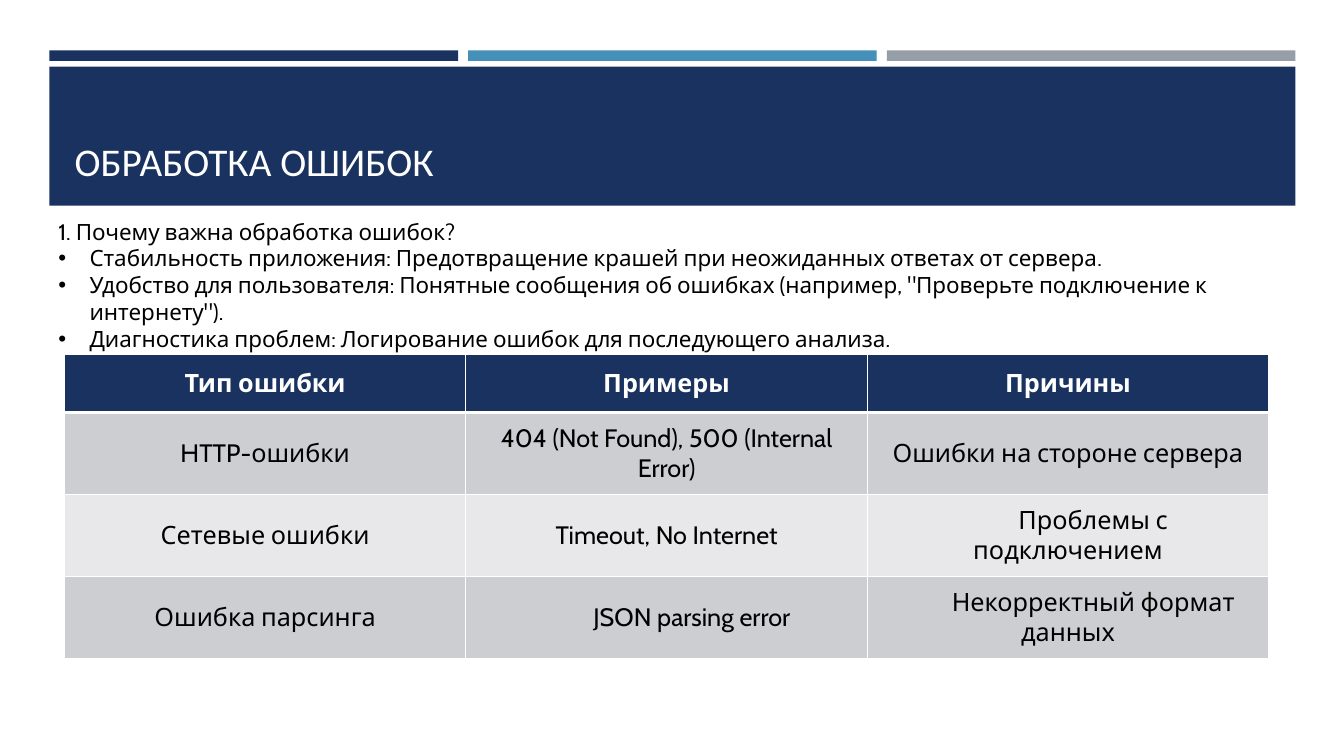
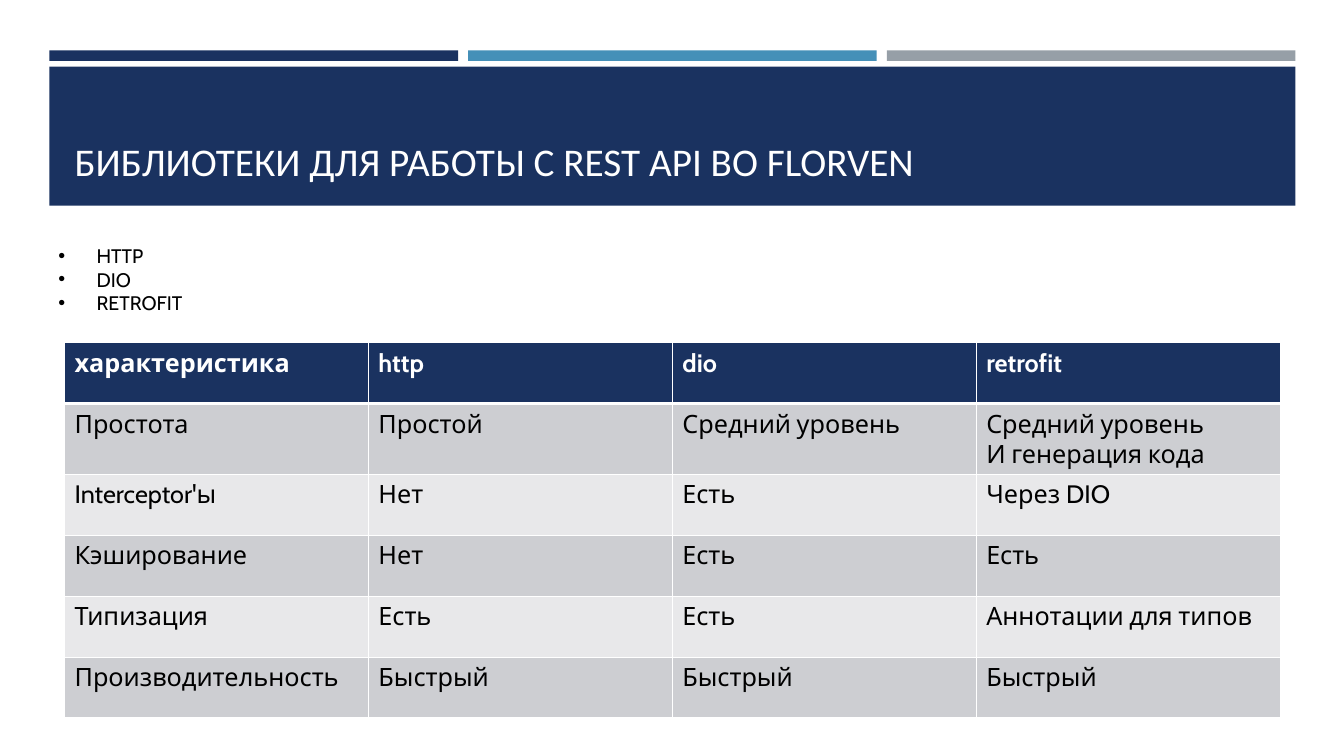
from dataclasses import dataclass

from lxml.etree import SubElement
from pptx import Presentation
from pptx.dml.color import RGBColor
from pptx.enum.shapes import MSO_SHAPE
from pptx.enum.text import MSO_ANCHOR, MSO_AUTO_SIZE, PP_ALIGN
from pptx.oxml.ns import qn
from pptx.util import Inches, Pt


@dataclass(frozen=True)
class Theme:
    navy: str = "1A3260"
    blue: str = "4590B8"
    grey: str = "969FA7"
    white: str = "FFFFFF"
    black: str = "000000"
    dark_row: str = "CDCED2"
    light_row: str = "E8E8EA"
    title_font: str = "Calibri"
    body_font: str = "Cabin"
    title_size: int = 28
    text_size: int = 16
    list_size: int = 14
    table_size: int = 18
    thin_line: int = 1
    thick_line: int = 3


@dataclass(frozen=True)
class Box:
    left: int
    top: int
    width: int
    height: int

    def inside(self, left, top, width, height):
        """Return a box given in percent of this one."""
        return Box(
            self.left + round(self.width * left / 100),
            self.top + round(self.height * top / 100),
            round(self.width * width / 100),
            round(self.height * height / 100),
        )

    @property
    def place(self):
        return self.left, self.top, self.width, self.height


@dataclass(frozen=True)
class Para:
    text: str
    indent: float = 0
    bullet: bool = False


THEME = Theme()
PAGE = Box(0, 0, Inches(13.33), Inches(7.5))
HEADER = PAGE.inside(3.68, 6.67, 92.7, 20.53)
TITLE = PAGE.inside(4.8, 10.67, 90.45, 14.4)


def write_text(frame, lines, *, size, color=THEME.black, font=THEME.body_font,
               bold=False, align=PP_ALIGN.LEFT):
    for index, line in enumerate(lines):
        item = line if isinstance(line, Para) else Para(line)
        para = frame.paragraphs[0] if index == 0 else frame.add_paragraph()
        para.alignment = align
        if item.indent:
            indent_para(para, item)
        span = para.add_run()
        span.text = item.text
        span.font.name = font
        span.font.size = Pt(size)
        span.font.bold = bold
        span.font.color.rgb = RGBColor.from_string(color)


def indent_para(para, item):
    properties = para._p.get_or_add_pPr()
    distance = Inches(item.indent)
    properties.set("marL", str(distance if item.bullet else 0))
    properties.set("indent", str(-distance if item.bullet else distance))
    if item.bullet:
        SubElement(properties, qn("a:buFont"), typeface="Arial")
        SubElement(properties, qn("a:buChar"), char="•")


def add_bar(page, box, color):
    bar = page.shapes.add_shape(MSO_SHAPE.RECTANGLE, *box.place)
    bar.shadow.inherit = False
    bar.fill.solid()
    bar.fill.fore_color.rgb = RGBColor.from_string(color)
    bar.line.fill.background()
    return bar


def add_header(page, layout, box):
    colors = (THEME.navy, THEME.blue, THEME.grey)
    gap = 0.81
    width = (100 - gap * (len(colors) - 1)) / len(colors)
    bars = [
        add_bar(page, box.inside(index * (width + gap), 0, width, 6.7), color)
        for index, color in enumerate(colors)
    ]
    bars.append(add_bar(page, box.inside(0, 10.4, 100, 89.6), THEME.navy))
    for bar in bars:
        layout.shapes.element.insert(2, bar.element)


def add_page(deck, layout, title):
    page = deck.slides.add_slide(layout)
    holder = page.shapes.title
    holder.left, holder.top, holder.width, holder.height = TITLE.place
    frame = holder.text_frame
    frame.vertical_anchor = MSO_ANCHOR.BOTTOM
    frame.auto_size = MSO_AUTO_SIZE.NONE
    write_text(frame, [title], size=THEME.title_size, color=THEME.white,
               font=THEME.title_font)
    return page


def add_text(page, box, lines, size):
    frame = page.shapes.add_textbox(*box.place).text_frame
    frame.word_wrap = True
    frame.auto_size = MSO_AUTO_SIZE.SHAPE_TO_FIT_TEXT
    write_text(frame, lines, size=size)


def border_cell(cell, **widths):
    properties = cell._tc.get_or_add_tcPr()
    for side in "LRTB":
        width = Pt(widths.get(side, THEME.thin_line))
        line = SubElement(properties, qn(f"a:ln{side}"), w=str(width))
        fill = SubElement(line, qn("a:solidFill"))
        SubElement(fill, qn("a:srgbClr"), val=THEME.white)


def add_table(page, box, rows, header_share, align=PP_ALIGN.LEFT,
              anchor=MSO_ANCHOR.TOP):
    table = page.shapes.add_table(len(rows), len(rows[0]), *box.place).table
    table.horz_banding = False
    for column in table.columns:
        column.width = round(box.width / len(rows[0]))
    header_height = round(box.height * header_share)
    body_height = round((box.height - header_height) / (len(rows) - 1))
    for number, values in enumerate(rows):
        header = number == 0
        table.rows[number].height = header_height if header else body_height
        stripe = THEME.dark_row if number % 2 else THEME.light_row
        edges = {0: {"B": THEME.thick_line}, 1: {"T": THEME.thick_line}}
        for cell, value in zip(table.rows[number].cells, values):
            border_cell(cell, **edges.get(number, {}))
            cell.fill.solid()
            cell.fill.fore_color.rgb = RGBColor.from_string(
                THEME.navy if header else stripe)
            cell.vertical_anchor = anchor
            lines = value if isinstance(value, list) else [value]
            write_text(cell.text_frame, lines, size=THEME.table_size,
                       color=THEME.white if header else THEME.black,
                       bold=header, align=align)


def build_errors(deck, layout):
    page = add_page(deck, layout, "ОБРАБОТКА ОШИБОК")
    reasons = [
        "Стабильность приложения: Предотвращение крашей при неожиданных ответах от сервера.",
        "Удобство для пользователя: Понятные сообщения об ошибках "
        '(например, "Проверьте подключение к интернету").',
        "Диагностика проблем: Логирование ошибок для последующего анализа.",
    ]
    lines = ["1. Почему важна обработка ошибок?"]
    lines += [Para(reason, 0.31, True) for reason in reasons]
    add_text(page, PAGE.inside(3.6, 28.13, 92.7, 15.73), lines, THEME.text_size)
    rows = [
        ["Тип ошибки", "Примеры", "Причины"],
        ["HTTP-ошибки", "404 (Not Found), 500 (Internal Error)",
         "Ошибки на стороне сервера"],
        ["Сетевые ошибки", "Timeout, No Internet",
         Para("Проблемы с подключением", 0.5)],
        ["Ошибка парсинга", Para("JSON parsing error", 0.5),
         Para("Некорректный формат данных", 0.5)],
    ]
    add_table(page, PAGE.inside(4.8, 46.93, 89.6, 40.2), rows, 0.19,
              PP_ALIGN.CENTER, MSO_ANCHOR.MIDDLE)
    return page


def build_libraries(deck, layout):
    page = add_page(deck, layout, "БИБЛИОТЕКИ ДЛЯ РАБОТЫ С REST API ВО FLORVEN")
    lines = [Para(name, 0.38, True) for name in ("HTTP", "DIO", "RETROFIT")]
    add_text(page, PAGE.inside(3.6, 31.6, 92.7, 10.8), lines, THEME.list_size)
    rows = [
        ["характеристика", "http", "dio", "retrofit"],
        ["Простота", "Простой", "Средний уровень",
         ["Средний уровень", "И генерация кода"]],
        ["Interceptor'ы", "Нет", "Есть", "Через DIO"],
        ["Кэширование", "Нет", "Есть", "Есть"],
        ["Типизация", "Есть", "Есть", "Аннотации для типов"],
        ["Производительность", "Быстрый", "Быстрый", "Быстрый"],
    ]
    add_table(page, PAGE.inside(4.8, 45.33, 90.45, 48.4), rows, 1 / len(rows))
    return page


def main():
    deck = Presentation()
    deck.slide_width, deck.slide_height = PAGE.width, PAGE.height
    layout = deck.slide_layouts.get_by_name("Title Only")
    page = build_errors(deck, layout)
    add_header(page, layout, HEADER)
    build_libraries(deck, layout)
    deck.save("out.pptx")


if __name__ == "__main__":
    main()
